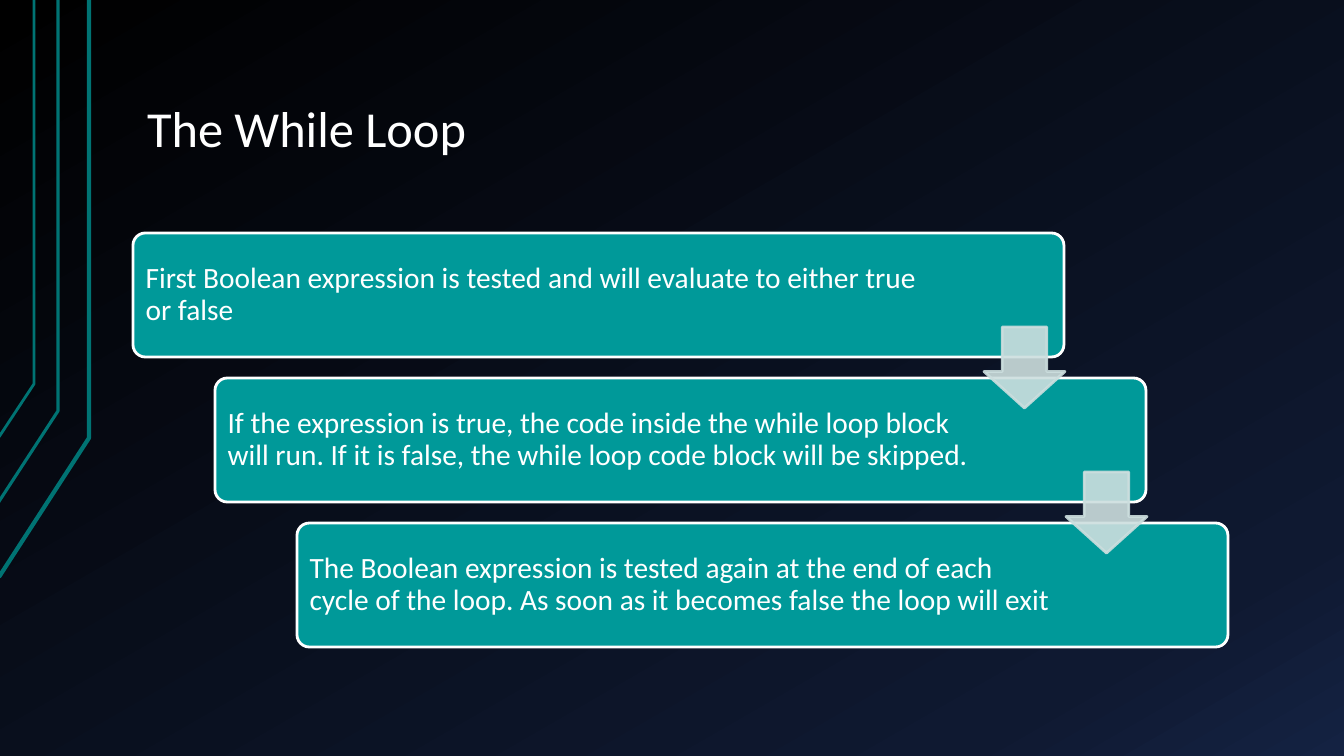
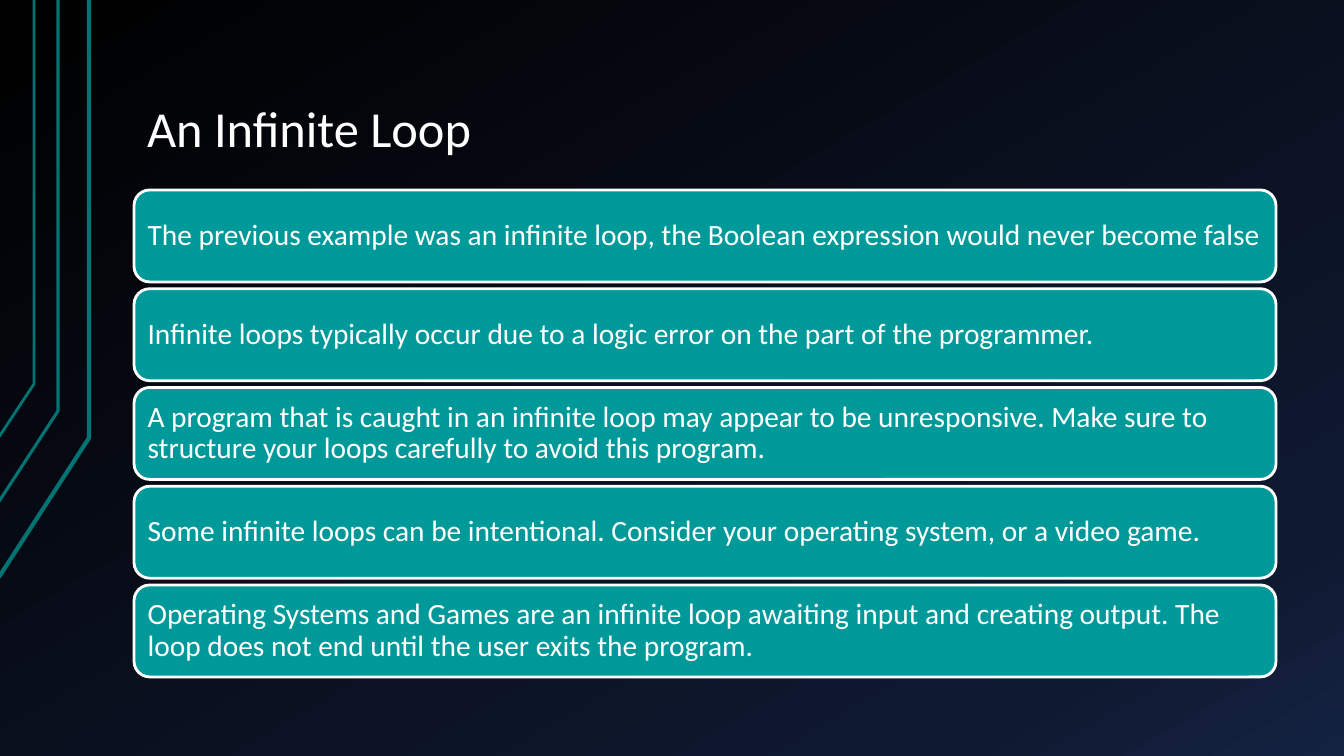
from copy import deepcopy

from lxml import etree
from pptx import Presentation
from pptx.dml.color import RGBColor
from pptx.enum.shapes import MSO_SHAPE
from pptx.enum.text import MSO_ANCHOR, PP_ALIGN
from pptx.oxml.ns import qn
from pptx.util import Emu, Pt

ROUNDED = MSO_SHAPE.ROUNDED_RECTANGLE
DOWN_ARROW = MSO_SHAPE.DOWN_ARROW
LEFT = PP_ALIGN.LEFT
MIDDLE, BOTTOM = MSO_ANCHOR.MIDDLE, MSO_ANCHOR.BOTTOM

SLIDE_WIDTH, SLIDE_HEIGHT = 1344, 756
EMU_PER_PX = 12192000 / SLIDE_WIDTH

WHILE_STEPS = [
    "First Boolean expression is tested and will evaluate to either true or false",
    "If the expression is true, the code inside the while loop block will run. "
    "If it is false, the while loop code block will be skipped.",
    "The Boolean expression is tested again at the end of each cycle of the loop. "
    "As soon as it becomes false the loop will exit",
]
INFINITE_LOOP_FACTS = [
    "The previous example was an infinite loop, the Boolean expression would never become false",
    "Infinite loops typically occur due to a logic error on the part of the programmer.",
    "A program that is caught in an infinite loop may appear to be unresponsive. "
    "Make sure to structure your loops carefully to avoid this program.",
    "Some infinite loops can be intentional. Consider your operating system, or a video game.",
    "Operating Systems and Games are an infinite loop awaiting input and creating output. "
    "The loop does not end until the user exits the program.",
]


def px(length):
    return Emu(round(length * EMU_PER_PX))


def color(value):
    return RGBColor.from_string(value)


class Deck:
    FONT = "Calibri"
    WHITE, TEAL, DARK_TEAL, PALE_TEAL = "FFFFFF", "009999", "007373", "CCDEDE"
    BACKGROUND_STOPS = [(0, "000000"), (0.85, "0F1931"), (1, "142242")]
    # Each stripe: line width in points, then its corner points
    STRIPES = [
        (3, [(-1, 577), (89, 438), (89, 0)]),
        (2.25, [(-2, 503), (58, 411), (58, 0)]),
        (2, [(-1, 437), (34, 384), (34, 0)]),
    ]

    def __init__(self):
        self.presentation = Presentation()
        self.presentation.slide_width = px(SLIDE_WIDTH)
        self.presentation.slide_height = px(SLIDE_HEIGHT)
        self.slide = None

    def add_slide(self, title):
        blank_layout = self.presentation.slide_layouts[6]
        self.slide = self.presentation.slides.add_slide(blank_layout)
        self.paint_background()
        for width, points in self.STRIPES:
            self.add_stripe(width, points)
        self.add_title(title)

    def paint_background(self):
        fill = self.slide.background.fill
        fill.gradient()
        fill.gradient_angle = 300
        stop_list = self.slide.element.find(".//" + qn("a:gsLst"))
        stop_list.append(deepcopy(stop_list[-1]))
        for stop, (position, value) in zip(fill.gradient_stops, self.BACKGROUND_STOPS):
            stop.position = position
            stop.color.rgb = color(value)

    def add_stripe(self, width, points):
        builder = self.slide.shapes.build_freeform(*points[0], scale=EMU_PER_PX)
        builder.add_line_segments(points[1:], close=False)
        stripe = builder.convert_to_shape()
        stripe.shadow.inherit = False
        stripe.fill.background()
        stripe.line.color.rgb = color(self.DARK_TEAL)
        stripe.line.width = Pt(width)

    def add_title(self, text):
        title = self.slide.shapes.add_textbox(px(134), px(30), px(1142), px(135))
        self.set_text(title, text, 36, BOTTOM, (13, 7, 13, 7))

    def add_shape(self, kind, box, fill, line, adjustments):
        shape = self.slide.shapes.add_shape(kind, *map(px, box))
        for index, value in enumerate(adjustments):
            shape.adjustments[index] = value
        shape.shadow.inherit = False
        shape.fill.solid()
        shape.fill.fore_color.rgb = color(fill)
        shape.line.color.rgb = color(line)
        shape.line.width = Pt(2)
        return shape

    def add_card(self, text, box, rounding, right_margin=9):
        card = self.add_shape(ROUNDED, box, self.TEAL, self.WHITE, [rounding])
        self.set_text(card, text, 21, MIDDLE, (9, 9, right_margin, 9))

    def add_arrow(self, left, top):
        arrow = self.add_shape(DOWN_ARROW, (left, top, 81, 81),
                               self.PALE_TEAL, self.PALE_TEAL, [0.55, 0.45])
        for color_element in arrow.element.spPr.iter(qn("a:srgbClr")):
            etree.SubElement(color_element, qn("a:alpha"), val="90000")

    def set_text(self, shape, text, size, anchor, margins):
        """Fill a shape with text; margins run left, top, right, bottom."""
        frame = shape.text_frame
        frame.text = text
        frame.word_wrap = True
        frame.vertical_anchor = anchor
        (frame.margin_left, frame.margin_top,
         frame.margin_right, frame.margin_bottom) = map(px, margins)
        paragraph = frame.paragraphs[0]
        paragraph.alignment = LEFT
        paragraph.line_spacing = 0.9
        font = paragraph.runs[0].font
        font.name = self.FONT
        font.size = Pt(size)
        font.color.rgb = color(self.WHITE)


def add_while_slide(deck):
    deck.add_slide("The While Loop")
    step_x, step_y = 82, 145
    for index, text in enumerate(WHILE_STEPS):
        box = (133 + index * step_x, 233 + index * step_y, 931, 124)
        deck.add_card(text, box, 0.1, right_margin=171 if index else 135)
    for index in range(len(WHILE_STEPS) - 1):
        deck.add_arrow(984 + index * step_x, 327 + index * step_y)


def add_infinite_slide(deck):
    deck.add_slide("An Infinite Loop")
    top, bottom, height = 190, 677, 92
    pitch = (bottom - top - height) / (len(INFINITE_LOOP_FACTS) - 1)
    for index, text in enumerate(INFINITE_LOOP_FACTS):
        deck.add_card(text, (134, top + index * pitch, 1142, height), 0.17)


def main():
    deck = Deck()
    add_while_slide(deck)
    add_infinite_slide(deck)
    deck.presentation.save("out.pptx")


if __name__ == "__main__":
    main()
